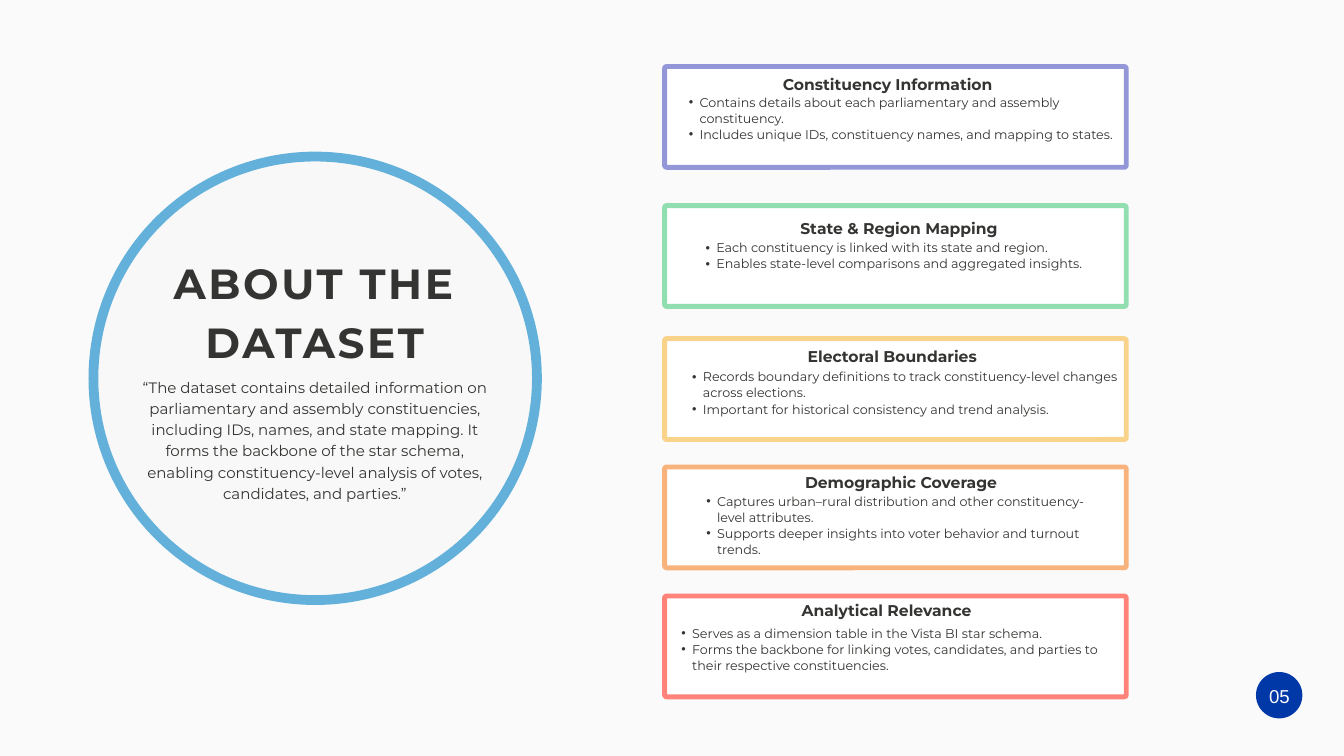
import dataclasses

import pptx
import pptx.dml.color
import pptx.enum.shapes
import pptx.enum.text
import pptx.oxml.ns
import pptx.presentation
import pptx.util
from lxml import etree

Inches = pptx.util.Inches
Pt = pptx.util.Pt
ALIGN = pptx.enum.text.PP_ALIGN
ANCHOR = pptx.enum.text.MSO_ANCHOR
SHAPE = pptx.enum.shapes.MSO_SHAPE

COLORS = {
    "background": "FAFAFA",
    "text": "343432",
    "circle": "F8F8F8",
    "ring": "63B1DB",
    "card": "FFFFFF",
    "violet": "9397D8",
    "green": "91DFB1",
    "yellow": "F8D389",
    "orange": "F8B27C",
    "red": "FF8379",
    "badge": "0038A8",
}
CARD_LEFT, CARD_WIDTH, CARD_HEIGHT = 9.89, 6.87, 1.5
BULLET_INDENT = 0.16


@dataclasses.dataclass
class Box:
    left: float
    top: float
    width: float
    height: float

    def emu(self) -> tuple:
        return tuple(Inches(v) for v in (self.left, self.top, self.width, self.height))


@dataclasses.dataclass
class Card:
    top: float
    color: str
    heading: str
    heading_left: float
    heading_top: float
    points: list[str]
    points_box: Box


CARDS = [
    Card(0.99, "violet", "Constituency Information", 11.65, 1.09,
         ["Contains details about each parliamentary and assembly constituency.",
          "Includes unique IDs, constituency names, and mapping to states."],
         Box(10.09, 1.39, 6.47, 0.95)),
    Card(3.06, "green", "State & Region Mapping", 11.91, 3.24,
         ["Each constituency is linked with its state and region.",
          "Enables state-level comparisons and aggregated insights."],
         Box(10.34, 3.56, 6.41, 0.71)),
    Card(5.04, "yellow", "Electoral Boundaries", 12.02, 5.15,
         ["Records boundary definitions to track constituency-level changes across elections.",
          "Important for historical consistency and trend analysis."],
         Box(10.14, 5.48, 6.8, 0.95)),
    Card(6.95, "orange", "Demographic Coverage", 11.98, 7.02,
         ["Captures urban–rural distribution and other constituency-level attributes.",
          "Supports deeper insights into voter behavior and turnout trends."],
         Box(10.35, 7.33, 6.2, 1.19)),
    Card(8.87, "red", "Analytical Relevance", 11.93, 8.93,
         ["Serves as a dimension table in the Vista BI star schema.",
          "Forms the backbone for linking votes, candidates, and parties "
          "to their respective constituencies."],
         Box(9.98, 9.3, 6.68, 0.95)),
]


def rgb(name: str) -> pptx.dml.color.RGBColor:
    return pptx.dml.color.RGBColor.from_string(COLORS[name])


def add_bullet(paragraph) -> None:
    paragraph.level = 1
    properties = paragraph._p.get_or_add_pPr()
    properties.set("marL", str(Inches(2 * BULLET_INDENT)))
    properties.set("indent", str(-Inches(BULLET_INDENT)))
    font = etree.SubElement(properties, pptx.oxml.ns.qn("a:buFont"))
    font.set("typeface", "Arial")
    mark = etree.SubElement(properties, pptx.oxml.ns.qn("a:buChar"))
    mark.set("char", "•")


def add_text(slide, box: Box, *lines: str, size: float, leading: float,
             font: str = "Montserrat", color: str = "text", bold: bool = False,
             align=ALIGN.LEFT, anchor=ANCHOR.TOP, bullets: bool = False,
             tracking: float = 0) -> None:
    """Add a text box without margins; leading and tracking are in points."""
    frame = slide.shapes.add_textbox(*box.emu()).text_frame
    frame.word_wrap = True
    frame.vertical_anchor = anchor
    frame.margin_left = frame.margin_top = frame.margin_right = frame.margin_bottom = 0
    for index, line in enumerate(lines):
        paragraph = frame.add_paragraph() if index else frame.paragraphs[0]
        paragraph.alignment = align
        paragraph.line_spacing = Pt(leading)
        if bullets:
            add_bullet(paragraph)
        run = paragraph.add_run()
        run.text = line
        run.font.name = font
        run.font.size = Pt(size)
        run.font.bold = bold
        run.font.color.rgb = rgb(color)
        if tracking:
            run.font._element.set("spc", str(round(tracking * 100)))


def add_outline(slide, preset, box: Box, fill: str, line: str = "", width: float = 0):
    shape = slide.shapes.add_shape(preset, *box.emu())
    shape.shadow.inherit = False
    shape.fill.solid()
    shape.fill.fore_color.rgb = rgb(fill)
    if line:
        shape.line.color.rgb = rgb(line)
        shape.line.width = Pt(width)
    else:
        shape.line.fill.background()
    return shape


def add_card(slide, card: Card) -> None:
    frame = add_outline(slide, SHAPE.ROUNDED_RECTANGLE,
                        Box(CARD_LEFT, card.top, CARD_WIDTH, CARD_HEIGHT),
                        "card", card.color, 5.25)
    frame.adjustments[0] = 0.02
    add_text(slide, Box(card.heading_left, card.heading_top, 3.47, 0.28), card.heading,
             size=16.7, leading=21.4, bold=True)
    add_text(slide, card.points_box, *card.points, size=13.6, leading=17.3, bullets=True)


def add_introduction(slide) -> None:
    add_outline(slide, SHAPE.OVAL, Box(1.39, 2.33, 6.6, 6.6), "circle", "ring", 10.5)
    add_text(slide, Box(2, 3.71, 5.37, 1.72), "ABOUT THE DATASET",
             size=45.1, leading=63.2, bold=True, align=ALIGN.CENTER, tracking=2.8)
    add_text(slide, Box(2, 5.59, 5.37, 1.86),
             "“The dataset contains detailed information on parliamentary and assembly "
             "constituencies, including IDs, names, and state mapping. It forms the backbone "
             "of the star schema, enabling constituency-level analysis of votes, candidates, "
             "and parties.”",
             size=16.1, leading=22.6, align=ALIGN.CENTER)


def add_page_number(slide) -> None:
    add_outline(slide, SHAPE.OVAL, Box(18.69, 10, 0.69, 0.69), "badge")
    add_text(slide, Box(18.76, 10.03, 0.56, 0.6), "05", size=20, leading=28, font="Arial",
             color="background", align=ALIGN.CENTER, anchor=ANCHOR.MIDDLE)


def main() -> None:
    deck = pptx.Presentation()
    deck.slide_width, deck.slide_height = Inches(20), Inches(11.25)
    slide = deck.slides.add_slide(deck.slide_layouts[6])
    slide.background.fill.solid()
    slide.background.fill.fore_color.rgb = rgb("background")
    add_introduction(slide)
    for card in CARDS:
        add_card(slide, card)
    add_page_number(slide)
    deck.save("out.pptx")


if __name__ == "__main__":
    main()
